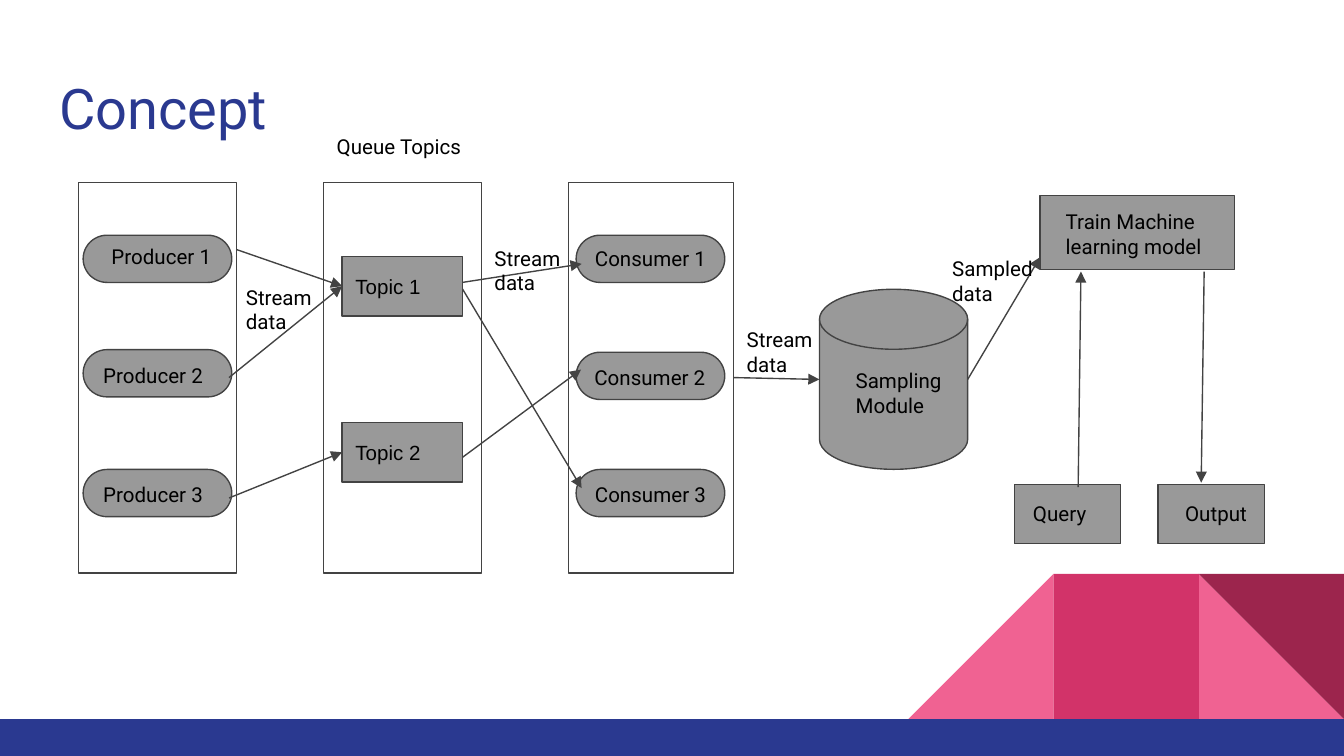
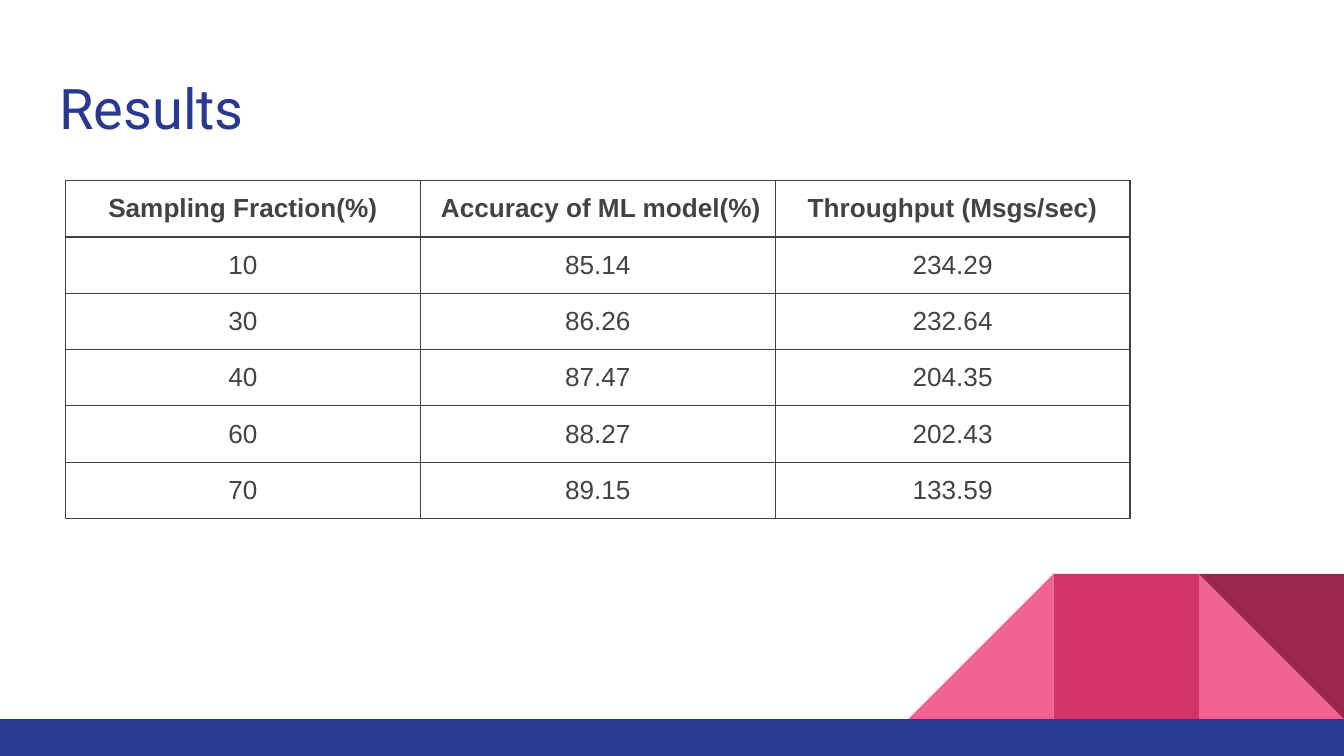
from dataclasses import dataclass

from lxml.etree import SubElement
from pptx import Presentation
from pptx.dml.color import RGBColor
from pptx.enum.shapes import MSO_CONNECTOR, MSO_SHAPE
from pptx.enum.text import MSO_ANCHOR, MSO_AUTO_SIZE, PP_ALIGN
from pptx.oxml.ns import qn
from pptx.presentation import Presentation as Deck
from pptx.shapes.autoshape import Shape
from pptx.slide import Slide
from pptx.table import _Cell
from pptx.text.text import TextFrame, _Paragraph
from pptx.util import Pt

NAVY = RGBColor(0x2A, 0x39, 0x90)
PINK = RGBColor(0xF0, 0x62, 0x92)
ROSE = RGBColor(0xD2, 0x33, 0x69)
WINE = RGBColor(0x9C, 0x25, 0x4D)
WHITE = RGBColor(0xFF, 0xFF, 0xFF)
BLACK = RGBColor(0x00, 0x00, 0x00)
GRAY = RGBColor(0x99, 0x99, 0x99)
DARK = RGBColor(0x43, 0x43, 0x43)

SANS = "Arial"
ROBOTO = "Roboto"
WIDTH, HEIGHT = 720, 405
INSET = 7.2
LINE = 0.75
TILE = 77.8
FOOTER_TOP = 385.2


@dataclass(frozen=True)
class Block:
    kind: MSO_SHAPE
    x: float
    y: float
    w: float
    h: float
    fill: RGBColor = GRAY
    text: str = ""


@dataclass(frozen=True)
class Label:
    text: str
    x: float
    y: float
    w: float
    h: float = 20


@dataclass(frozen=True)
class Arrow:
    x1: float
    y1: float
    x2: float
    y2: float


def add_run(p: _Paragraph, text: str, size: float, font: str,
            color: RGBColor, bold: bool = False) -> None:
    r = p.add_run()
    r.text = text
    r.font.size = Pt(size)
    r.font.name = font
    r.font.color.rgb = color
    r.font.bold = bold


def set_frame(tf: TextFrame, anchor: MSO_ANCHOR = MSO_ANCHOR.TOP) -> None:
    tf.word_wrap = True
    tf.auto_size = MSO_AUTO_SIZE.NONE
    tf.vertical_anchor = anchor
    tf.margin_left = tf.margin_right = Pt(INSET)
    tf.margin_top = tf.margin_bottom = Pt(INSET)


def draw_block(s: Slide, b: Block, outlined: bool = True) -> Shape:
    sp = s.shapes.add_shape(b.kind, Pt(b.x), Pt(b.y), Pt(b.w), Pt(b.h))
    sp.shadow.inherit = False
    sp.fill.solid()
    sp.fill.fore_color.rgb = b.fill
    if outlined:
        sp.line.color.rgb = DARK
        sp.line.width = Pt(LINE)
    else:
        sp.line.fill.background()
    if b.text:
        set_frame(sp.text_frame, MSO_ANCHOR.MIDDLE)
        p = sp.text_frame.paragraphs[0]
        p.alignment = PP_ALIGN.LEFT
        add_run(p, b.text, 11, SANS, BLACK)
    return sp


def draw_label(s: Slide, label: Label) -> None:
    sp = s.shapes.add_textbox(Pt(label.x), Pt(label.y), Pt(label.w), Pt(label.h))
    tf = sp.text_frame
    set_frame(tf)
    for i, line in enumerate(label.text.split("\n")):
        p = tf.add_paragraph() if i else tf.paragraphs[0]
        add_run(p, line, 11, ROBOTO, BLACK)


def draw_arrow(s: Slide, a: Arrow) -> None:
    cn = s.shapes.add_connector(MSO_CONNECTOR.STRAIGHT,
                                Pt(a.x1), Pt(a.y1), Pt(a.x2), Pt(a.y2))
    cn.line.color.rgb = DARK
    cn.line.width = Pt(LINE)
    pr = cn._element.spPr
    SubElement(pr.get_or_add_ln(), qn("a:tailEnd"), type="triangle")
    SubElement(pr, qn("a:effectLst"))


def draw_decoration(s: Slide) -> None:
    top = FOOTER_TOP - TILE
    right, middle, left = (WIDTH - n * TILE for n in (1, 2, 3))
    triangle, rectangle = MSO_SHAPE.RIGHT_TRIANGLE, MSO_SHAPE.RECTANGLE
    for kind, x, fill, angle in (
        (triangle, right, PINK, 0),
        (triangle, left, PINK, 270),
        (rectangle, middle, ROSE, 0),
        (triangle, right, WINE, 180),
    ):
        sp = draw_block(s, Block(kind, x, top, TILE, TILE, fill), False)
        sp.rotation = angle
    draw_block(s, Block(rectangle, 0, FOOTER_TOP, WIDTH,
                        HEIGHT - FOOTER_TOP, NAVY), False)


def add_titled_slide(prs: Deck, title: str) -> Slide:
    s = prs.slides.add_slide(prs.slide_layouts[5])
    s.background.fill.solid()
    s.background.fill.fore_color.rgb = WHITE
    draw_decoration(s)
    sp = s.shapes.title
    sp.left, sp.top, sp.width, sp.height = Pt(24.5), Pt(32.4), Pt(671), Pt(47.5)
    set_frame(sp.text_frame)
    p = sp.text_frame.paragraphs[0]
    p.alignment = PP_ALIGN.LEFT
    add_run(p, title, 30, ROBOTO, NAVY)
    return s


def set_borders(cell: _Cell) -> None:
    pr = cell._tc.get_or_add_tcPr()
    for side in ("a:lnL", "a:lnR", "a:lnT", "a:lnB"):
        ln = SubElement(pr, qn(side), w=str(int(Pt(LINE))))
        fill = SubElement(ln, qn("a:solidFill"))
        SubElement(fill, qn("a:srgbClr"), val=str(DARK))


def draw_table(s: Slide, rows: list[tuple[str, ...]], x: float, y: float,
               col_w: float, row_h: float) -> None:
    n_rows, n_cols = len(rows), len(rows[0])
    frame = s.shapes.add_table(n_rows, n_cols, Pt(x), Pt(y),
                               Pt(col_w * n_cols), Pt(row_h * n_rows))
    table = frame.table
    table.first_row = table.horz_banding = False
    for col in table.columns:
        col.width = Pt(col_w)
    for i, values in enumerate(rows):
        table.rows[i].height = Pt(row_h)
        for j, value in enumerate(values):
            cell = table.cell(i, j)
            set_borders(cell)
            cell.fill.background()
            cell.margin_left = cell.margin_right = Pt(INSET)
            cell.margin_top = cell.margin_bottom = Pt(INSET)
            p = cell.text_frame.paragraphs[0]
            p.alignment = PP_ALIGN.CENTER
            add_run(p, value, 14, SANS, DARK, bold=i == 0)


PANELS = [Block(MSO_SHAPE.RECTANGLE, x, 97.9, w, 209, WHITE)
          for x, w in ((42.2, 84.5), (304.6, 88.3), (173.3, 84.5))]
PILLS = [Block(MSO_SHAPE.FLOWCHART_TERMINATOR, x, y, 79.6, 25.3)
         for x, tops in ((44.6, (126, 187.3, 251.5)), (308.7, (126, 188.7, 251.5)))
         for y in tops]
TOPICS = [Block(MSO_SHAPE.RECTANGLE, 183.3, y, 64.5, 32, GRAY, text)
          for text, y in (("Topic 1", 137.3), ("Topic 2", 226.3))]
STORE = Block(MSO_SHAPE.FLOWCHART_MAGNETIC_DISK, 439, 155, 79.4, 96.5)
MODEL = Block(MSO_SHAPE.FLOWCHART_PROCESS, 557.2, 104.8, 104, 39.5)
PORTS = [Block(MSO_SHAPE.FLOWCHART_PROCESS, x, 259.5, 57, 31.7)
         for x in (543.4, 620.4)]

ARROWS = [
    Arrow(126.7, 133.7, 183.3, 153.3),
    Arrow(122.7, 202.3, 183.3, 153.3),
    Arrow(122.7, 266.8, 183.3, 242.3),
    Arrow(247.8, 151.3, 311.6, 141.4),
    Arrow(247.8, 245, 311.3, 198),
    Arrow(247.8, 154.8, 311.6, 261.5),
    Arrow(392.9, 202.3, 439, 203.3),
    Arrow(518.4, 203.3, 557.2, 137.8),
    Arrow(577.6, 261, 579.1, 145.5),
    Arrow(645.1, 145.5, 643.5, 258.6),
]

LABELS = [
    Label("Producer 1", 52.6, 123.8, 74),
    Label("Producer 2", 48.2, 187.2, 74),
    Label("Producer 3", 48.2, 251.3, 74),
    Label("Consumer 1", 311.6, 124.5, 74),
    Label("Consumer 2", 311.3, 188.2, 74),
    Label("Consumer 3", 311.6, 251.3, 74),
    Label("Sampling Module", 451.3, 190.2, 67.7),
    Label("Train Machine learning model", 563.8, 104.8, 104, 39.5),
    Label(" Query", 543.6, 261.1, 67.7),
    Label("Output", 627.8, 261.1, 67.7),
    Label("Sampled data", 503, 130.1, 61.2),
    Label("Stream\ndata", 124.6, 145.4, 61.2),
    Label("Stream\ndata", 257.8, 124.5, 61.2),
    Label("Queue Topics", 173.3, 64.6, 84.5),
    Label("Stream\ndata", 392.9, 168.2, 61.2),
]

RESULTS = [
    ("Sampling Fraction(%)", " Accuracy of ML model(%)", "Throughput (Msgs/sec)"),
    ("10", "85.14", "234.29"),
    ("30", "86.26", "232.64"),
    ("40", "87.47", "204.35"),
    ("60", "88.27", "202.43"),
    ("70", "89.15", "133.59"),
]


def build_concept(prs: Deck) -> None:
    s = add_titled_slide(prs, "Concept")
    for block in (*PANELS, STORE, *PILLS, *TOPICS, MODEL, *PORTS):
        draw_block(s, block)
    for arrow in ARROWS:
        draw_arrow(s, arrow)
    for label in LABELS:
        draw_label(s, label)


def build_results(prs: Deck) -> None:
    s = add_titled_slide(prs, "Results")
    draw_table(s, RESULTS, 35.1, 96.8, 190.1, 30.1)


def main() -> None:
    prs = Presentation()
    prs.slide_width, prs.slide_height = Pt(WIDTH), Pt(HEIGHT)
    build_concept(prs)
    build_results(prs)
    prs.save("out.pptx")


main()
